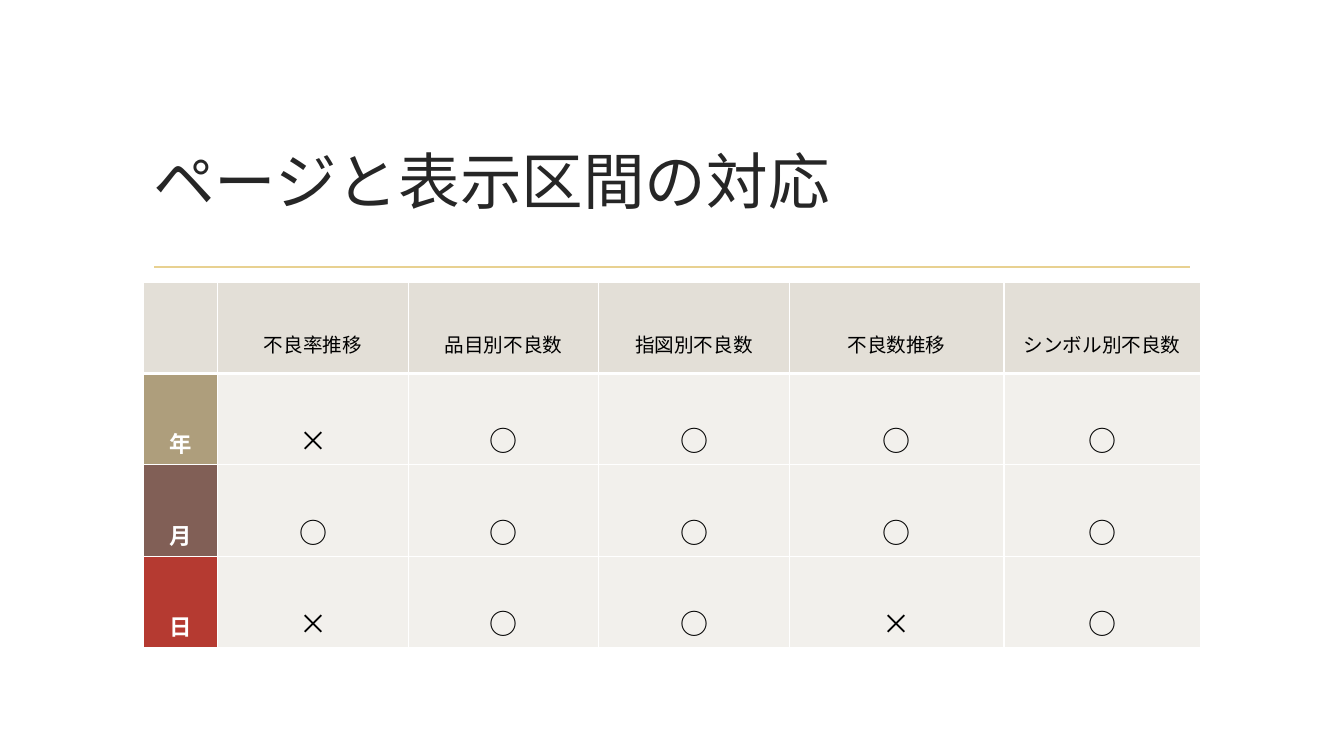
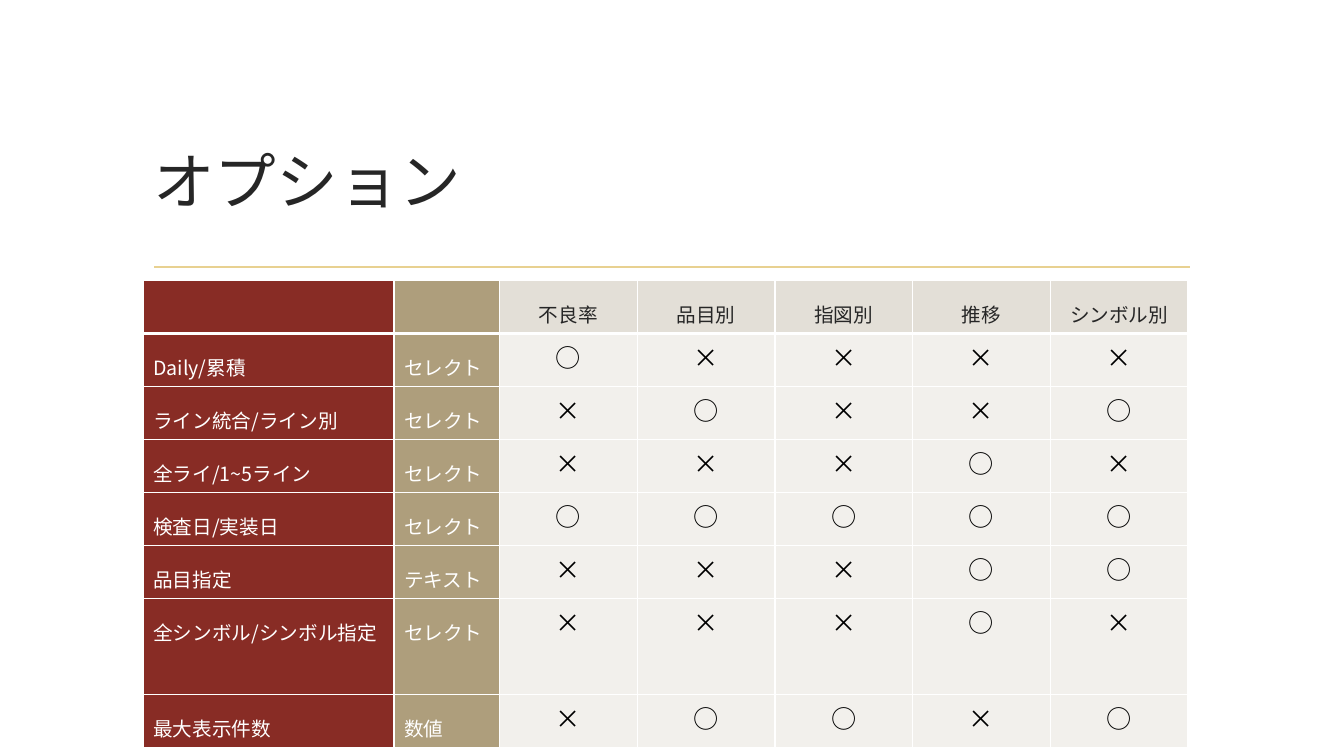
"""Build two slides that map report pages to display periods and options."""

from dataclasses import dataclass

from lxml import etree
from pptx import Presentation
from pptx.dml.color import RGBColor
from pptx.enum.shapes import MSO_CONNECTOR
from pptx.enum.text import MSO_ANCHOR, MSO_AUTO_SIZE, PP_ALIGN
from pptx.oxml.ns import qn
from pptx.util import Cm, Pt

WHITE = RGBColor(0xFF, 0xFF, 0xFF)
BLACK = RGBColor(0x00, 0x00, 0x00)
INK = RGBColor(0x26, 0x26, 0x26)
GOLD = RGBColor(0xE8, 0xD1, 0x91)
HEADER = RGBColor(0xE3, 0xDF, 0xD7)
BODY = RGBColor(0xF2, 0xF0, 0xEC)
SAND = RGBColor(0xAE, 0x9E, 0x7C)
BROWN = RGBColor(0x81, 0x5F, 0x56)
RED = RGBColor(0xB5, 0x3A, 0x31)
MAROON = RGBColor(0x88, 0x2C, 0x25)

SANS = "Noto Sans CJK JP"
SERIF = "Times New Roman"
LEFT, CENTER = PP_ALIGN.LEFT, PP_ALIGN.CENTER
MIDDLE = MSO_ANCHOR.MIDDLE
NO_FIT = MSO_AUTO_SIZE.NONE
STRAIGHT = MSO_CONNECTOR.STRAIGHT

TITLE_ONLY = 5
MARGIN = 3.61
RULE_START, RULE_END, RULE_TOP = 3.89, 30.0, 6.73
THIN, THICK = 1, 3


@dataclass(frozen=True)
class TextStyle:
    """Look of one paragraph."""

    size: float
    color: RGBColor
    font: str = SANS
    align: PP_ALIGN = CENTER
    spacing: float = 1.0
    bold: bool = False


@dataclass(frozen=True)
class CellData:
    """Text, fill and style of one table cell."""

    text: str
    fill: RGBColor
    style: TextStyle


@dataclass(frozen=True)
class TablePage:
    """A titled slide with one table; lengths are in centimetres."""

    title: str
    top: float
    widths: list[float]
    heights: list[float]
    rows: list[list[CellData]]


TITLE = TextStyle(44, INK, SERIF, LEFT)
PAGE_NAME = TextStyle(14, BLACK, spacing=2.5)
PERIOD = TextStyle(16, WHITE, SERIF, spacing=2.5, bold=True)
PERIOD_MARK = TextStyle(20, BLACK, spacing=2.0)
OPTION_HEADER = TextStyle(14, INK, spacing=1.5)
OPTION = TextStyle(14, WHITE, align=LEFT, spacing=1.5)
OPTION_MARK = TextStyle(18, BLACK)

PAGE_NAMES = ["", "不良率推移", "品目別不良数", "指図別不良数", "不良数推移", "シンボル別不良数"]
PERIODS = [
    ("年", SAND, "×○○○○"),
    ("月", BROWN, "○○○○○"),
    ("日", RED, "×○○×○"),
]
OPTION_PAGES = ["不良率", "品目別", "指図別", "推移", "シンボル別"]
OPTIONS = [
    ("Daily/累積", "セレクト", "○××××"),
    ("ライン統合/ライン別", "セレクト", "×○××○"),
    ("全ライ/1~5ライン", "セレクト", "×××○×"),
    ("検査日/実装日", "セレクト", "○○○○○"),
    ("品目指定", "テキスト", "×××○○"),
    ("全シンボル/シンボル指定", "セレクト", "×××○×"),
    ("最大表示件数", "数値", "×○○×○"),
]


def cells(texts: list[str] | str, fill: RGBColor, style: TextStyle) -> list[CellData]:
    """Make one cell for each text, all with the same look."""
    return [CellData(text, fill, style) for text in texts]


def period_page() -> TablePage:
    """Describe the table of pages and periods."""
    rows = [cells(PAGE_NAMES, HEADER, PAGE_NAME)]
    for name, fill, marks in PERIODS:
        rows.append(cells([name], fill, PERIOD) + cells(marks, BODY, PERIOD_MARK))
    widths = [1.88, 4.8, 4.8, 4.8, 5.41, 4.95]
    return TablePage("ページと表示区間の対応", 7.11, widths, [2.3] * 4, rows)


def option_page() -> TablePage:
    """Describe the table of options."""
    rows = [
        cells([""], MAROON, OPTION)
        + cells([""], SAND, OPTION)
        + cells(OPTION_PAGES, HEADER, OPTION_HEADER)
    ]
    for name, control, marks in OPTIONS:
        rows.append(
            cells([name], MAROON, OPTION)
            + cells([control], SAND, OPTION)
            + cells(marks, BODY, OPTION_MARK)
        )
    heights = [1.04] * 5 + [1.22] + [1.04] * 2
    return TablePage("オプション", 7.07, [6.32, 2.66] + [3.47] * 5, heights, rows)


def write_text(frame, text: str, style: TextStyle) -> None:
    """Write one formatted paragraph into a text frame."""
    para = frame.paragraphs[0]
    para_format = {"alignment": style.align, "line_spacing": style.spacing}
    for name, value in para_format.items():
        setattr(para, name, value)
    if not text:
        para.font.size = Pt(style.size)
        return
    span = para.add_run()
    span.text = text
    font_format = {"size": Pt(style.size), "name": style.font, "bold": style.bold}
    for name, value in font_format.items():
        setattr(span.font, name, value)
    span.font.color.rgb = style.color
    latin = span.font._element.find(qn("a:latin"))
    east_asian = etree.Element(qn("a:ea"), typeface=SANS)
    latin.addnext(east_asian)


def set_borders(cell, top: float, bottom: float) -> None:
    """Give a cell white borders; widths are in points."""
    properties = cell._tc.get_or_add_tcPr()
    widths = {"lnL": THIN, "lnR": THIN, "lnT": top, "lnB": bottom}
    for side, width in widths.items():
        line = etree.SubElement(properties, qn(f"a:{side}"), w=str(Pt(width)))
        fill = etree.SubElement(line, qn("a:solidFill"))
        etree.SubElement(fill, qn("a:srgbClr"), val=str(WHITE))


def add_title(slide, text: str) -> None:
    """Place the title and the gold rule below it."""
    box = slide.shapes.title
    bounds = {"left": MARGIN, "top": 2.72, "width": 26.67, "height": 3.63}
    for name, value in bounds.items():
        setattr(box, name, Cm(value))
    frame_format = {"vertical_anchor": MIDDLE, "auto_size": NO_FIT, "word_wrap": True}
    for name, value in frame_format.items():
        setattr(box.text_frame, name, value)
    write_text(box.text_frame, text, TITLE)

    rule = slide.shapes.add_connector(
        STRAIGHT, Cm(RULE_START), Cm(RULE_TOP), Cm(RULE_END), Cm(RULE_TOP)
    )
    rule.line.color.rgb = GOLD
    rule.line.width = Pt(1.25)
    etree.SubElement(rule._element.spPr, qn("a:effectLst"))


def add_grid(slide, page: TablePage) -> None:
    """Draw the table of a page."""
    table = slide.shapes.add_table(
        len(page.rows),
        len(page.widths),
        Cm(MARGIN),
        Cm(page.top),
        Cm(sum(page.widths)),
        Cm(sum(page.heights)),
    ).table
    table.first_row = table.horz_banding = False
    for column, width in zip(table.columns, page.widths):
        column.width = Cm(width)
    for row, height in zip(table.rows, page.heights):
        row.height = Cm(height)
    for row_index, row_data in enumerate(page.rows):
        top = THICK if row_index == 1 else THIN
        bottom = THICK if row_index == 0 else THIN
        for column_index, data in enumerate(row_data):
            cell = table.cell(row_index, column_index)
            set_borders(cell, top, bottom)
            cell.fill.solid()
            cell.fill.fore_color.rgb = data.fill
            write_text(cell.text_frame, data.text, data.style)


def main() -> None:
    """Build and save the deck."""
    deck = Presentation()
    deck.slide_width, deck.slide_height = Cm(33.87), Cm(19.05)
    for page in (period_page(), option_page()):
        slide = deck.slides.add_slide(deck.slide_layouts[TITLE_ONLY])
        add_title(slide, page.title)
        add_grid(slide, page)
    deck.save("out.pptx")


if __name__ == "__main__":
    main()
